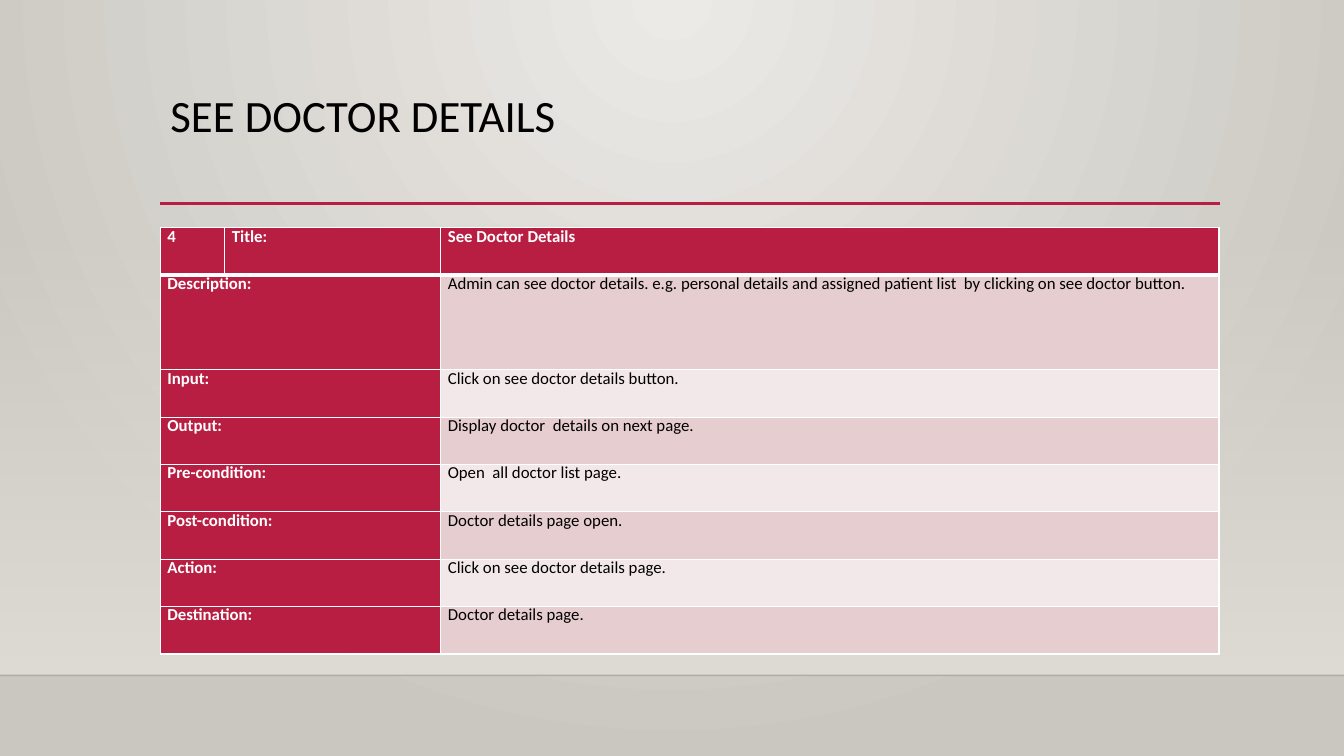
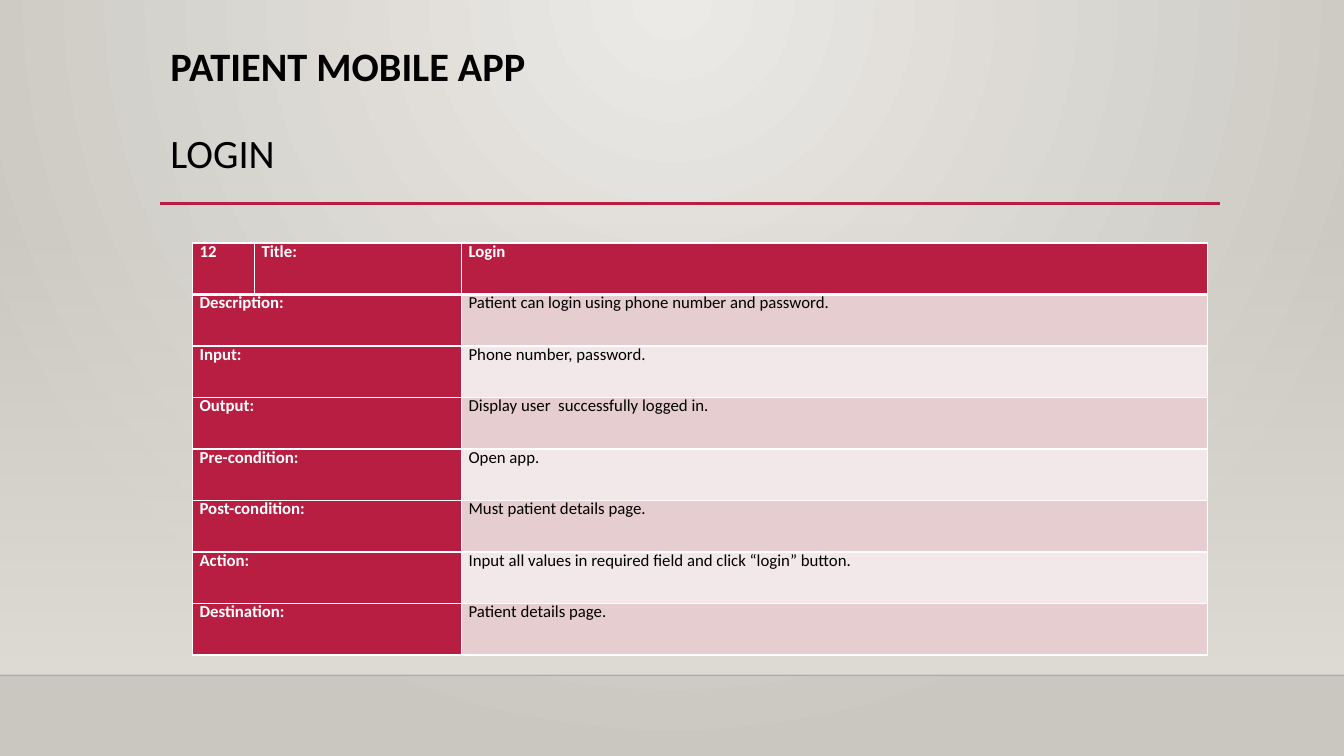
from pptx import Presentation
from pptx.dml.color import RGBColor as Rgb
from pptx.enum.shapes import MSO_CONNECTOR as Link, MSO_SHAPE as Form
from pptx.enum.text import MSO_ANCHOR as Anchor, MSO_AUTO_SIZE as Fit, PP_ALIGN as Align
from pptx.oxml import parse_xml
from pptx.oxml.ns import nsdecls, qn
from pptx.util import Inches, Pt

# Content
LABELS = ["Description:", "Input:", "Output:", "Pre-condition:",
          "Post-condition:", "Action:", "Destination:"]
CASES = [
    {
        "title": ["SEE DOCTOR DETAILS"], "bold": [False], "size": 32,
        "box": (1.59, 0.88, 10.5, 1.15),
        "grid": (1.59, 2.26, 10.5, 4.23), "rows": [1, 2, 1, 1, 1, 1, 1, 1],
        "head": ["4", "Title:", "See Doctor Details"],
        "facts": [
            "Admin can see doctor details. e.g. personal details and assigned "
            "patient list  by clicking on see doctor button.",
            "Click on see doctor details button.",
            "Display doctor  details on next page.",
            "Open  all doctor list page.",
            "Doctor details page open.",
            "Click on see doctor details page.",
            "Doctor details page.",
        ],
    },
    {
        "title": ["PATIENT MOBILE APP", "LOGIN"], "bold": [True, False], "size": 28.8,
        "box": (1.59, 0.41, 10.5, 1.61),
        "grid": (1.91, 2.41, 10.07, 4.09), "rows": [1] * 8,
        "head": ["12", "Title:", "Login"],
        "facts": [
            "Patient can login using phone number and password.",
            "Phone number, password.",
            "Display user  successfully logged in.",
            "Open app.",
            "Must patient details page.",
            "Input all values in required field and click “login” button.",
            "Patient details page.",
        ],
    },
]

# Theme
THEME = {
    "font": "Calibri", "cell": 12, "lead": 13.4, "after": 6, "gap": 31,
    "red": "B71E42", "white": "FFFFFF", "ink": "000000",
    "tints": ("E6CDCF", "F3E8E9"),
    "back": ("ECEAE7", "CAC7C1"), "band": "DFDBD5", "edge": "000001",
}
WIDE, HIGH = 13.33, 7.5
COLS = (0.061, 0.204, 0.735)
FLOOR, RULE = 6.7, 2.02


def place(*nums):
    return [Inches(n) for n in nums]


def tint(name):
    return Rgb.from_string(THEME.get(name, name))


def blend(host, stops, way):
    """Swap the solid fill of host for a gradient."""
    marks = "".join(
        f'<a:gs pos="{pos}"><a:srgbClr val="{hue}"><a:alpha val="{alpha}"/></a:srgbClr></a:gs>'
        for pos, hue, alpha in stops)
    fill = parse_xml(f'<a:gradFill {nsdecls("a")} rotWithShape="1">'
                     f'<a:gsLst>{marks}</a:gsLst>{way}</a:gradFill>')
    host.replace(host.find(qn("a:solidFill")), fill)


def rule(slide, ends, hue, width):
    line = slide.shapes.add_connector(Link.STRAIGHT, *place(*ends))
    line.line.color.rgb = tint(hue)
    line.line.width = Pt(width)
    line._element.spPr.append(parse_xml(f'<a:effectLst {nsdecls("a")}/>'))
    return line


def dress(layout, slide):
    """Draw the shared backdrop and move it to the layout."""
    layout.background.fill.solid()
    first, last = THEME["back"]
    blend(layout._element.xpath("p:cSld/p:bg/p:bgPr")[0],
          [(0, first, 100000), (100000, last, 100000)],
          '<a:path path="circle"><a:fillToRect l="43000" r="43000" b="100000"/></a:path>')

    top = 2.21
    band = slide.shapes.add_shape(Form.RECTANGLE, *place(0, top, WIDE, FLOOR - top))
    band.shadow.inherit = False
    band.line.fill.background()
    band.fill.solid()
    hue = THEME["band"]
    blend(band._element.spPr, [(0, hue, 0), (100000, hue, 100000)], '<a:lin ang="5400000"/>')

    edge = rule(slide, (0, FLOOR, WIDE, FLOOR), "edge", 1)
    ink = edge._element.spPr.find(".//" + qn("a:srgbClr"))
    ink.append(parse_xml(f'<a:alpha {nsdecls("a")} val="20000"/>'))
    bar = rule(slide, (1.59, RULE, 12.1, RULE), "red", 2.5)
    for part in (band, edge, bar):
        layout.shapes._spTree.append(part._element)


def style(para, size, hue, bold):
    for run in para.runs:
        font = run.font
        font.name, font.size, font.bold = THEME["font"], Pt(size), bold
        font.color.rgb = tint(hue)


def head(slide, case):
    title = slide.shapes.title
    title.left, title.top, title.width, title.height = place(*case["box"])
    frame = title.text_frame
    frame.text = "\n".join(case["title"])
    frame.word_wrap, frame.auto_size = True, Fit.NONE
    frame.vertical_anchor = Anchor.TOP
    for num, (para, bold) in enumerate(zip(frame.paragraphs, case["bold"])):
        para.alignment, para.line_spacing = Align.LEFT, 0.9
        para.space_before = Pt(THEME["gap"] if num else 0)
        style(para, case["size"], "ink", bold)


def border(cell, row):
    widths = {"L": 1, "R": 1, "T": 3 if row == 1 else 1, "B": 3 if row == 0 else 1}
    for side, width in widths.items():
        cell._tc.get_or_add_tcPr().append(parse_xml(
            f'<a:ln{side} {nsdecls("a")} w="{Pt(width)}"><a:solidFill>'
            f'<a:srgbClr val="{THEME["white"]}"/></a:solidFill></a:ln{side}>'))


def fill(cell, text, row, col):
    strong = row == 0 or col < 2
    border(cell, row)
    cell.fill.solid()
    cell.fill.fore_color.rgb = tint("red" if strong else THEME["tints"][(row - 1) % 2])
    cell.margin_left = cell.margin_right = Inches(0.07)
    cell.margin_top = cell.margin_bottom = 0
    cell.vertical_anchor = Anchor.TOP
    cell.text_frame.text = text
    para = cell.text_frame.paragraphs[0]
    para.alignment, para.line_spacing = Align.JUSTIFY, Pt(THEME["lead"])
    para.space_after = Pt(THEME["after"])
    style(para, THEME["cell"], "white" if strong else "ink", strong)


def chart(slide, case):
    """Lay out the use case as a table."""
    rows = [case["head"]] + [[name, "", fact] for name, fact in zip(LABELS, case["facts"])]
    wide, high = case["grid"][2:]
    table = slide.shapes.add_table(len(rows), len(COLS), *place(*case["grid"])).table
    for col, share in zip(table.columns, COLS):
        col.width = Inches(wide * share)
    for row, share in zip(table.rows, case["rows"]):
        row.height = Inches(high * share / sum(case["rows"]))
    for r, texts in enumerate(rows):
        for c, text in enumerate(texts):
            fill(table.cell(r, c), text, r, c)
        if r:
            table.cell(r, 0).merge(table.cell(r, 1))


def main():
    deck = Presentation()
    deck.slide_width, deck.slide_height = place(WIDE, HIGH)
    layout = deck.slide_layouts.get_by_name("Title Only")
    for num, case in enumerate(CASES):
        slide = deck.slides.add_slide(layout)
        if num == 0:
            dress(layout, slide)
        head(slide, case)
        chart(slide, case)
    deck.save("out.pptx")


if __name__ == "__main__":
    main()
